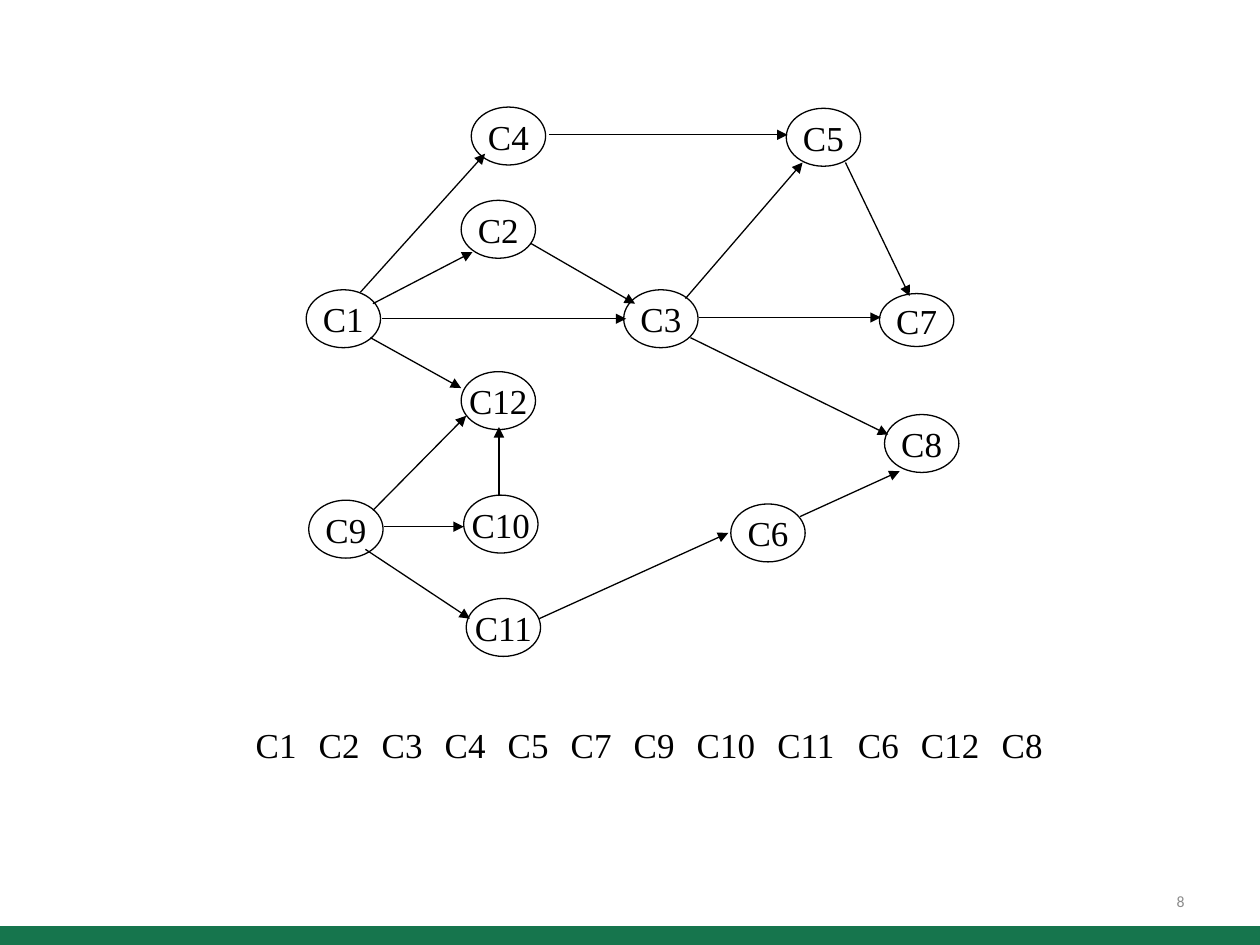
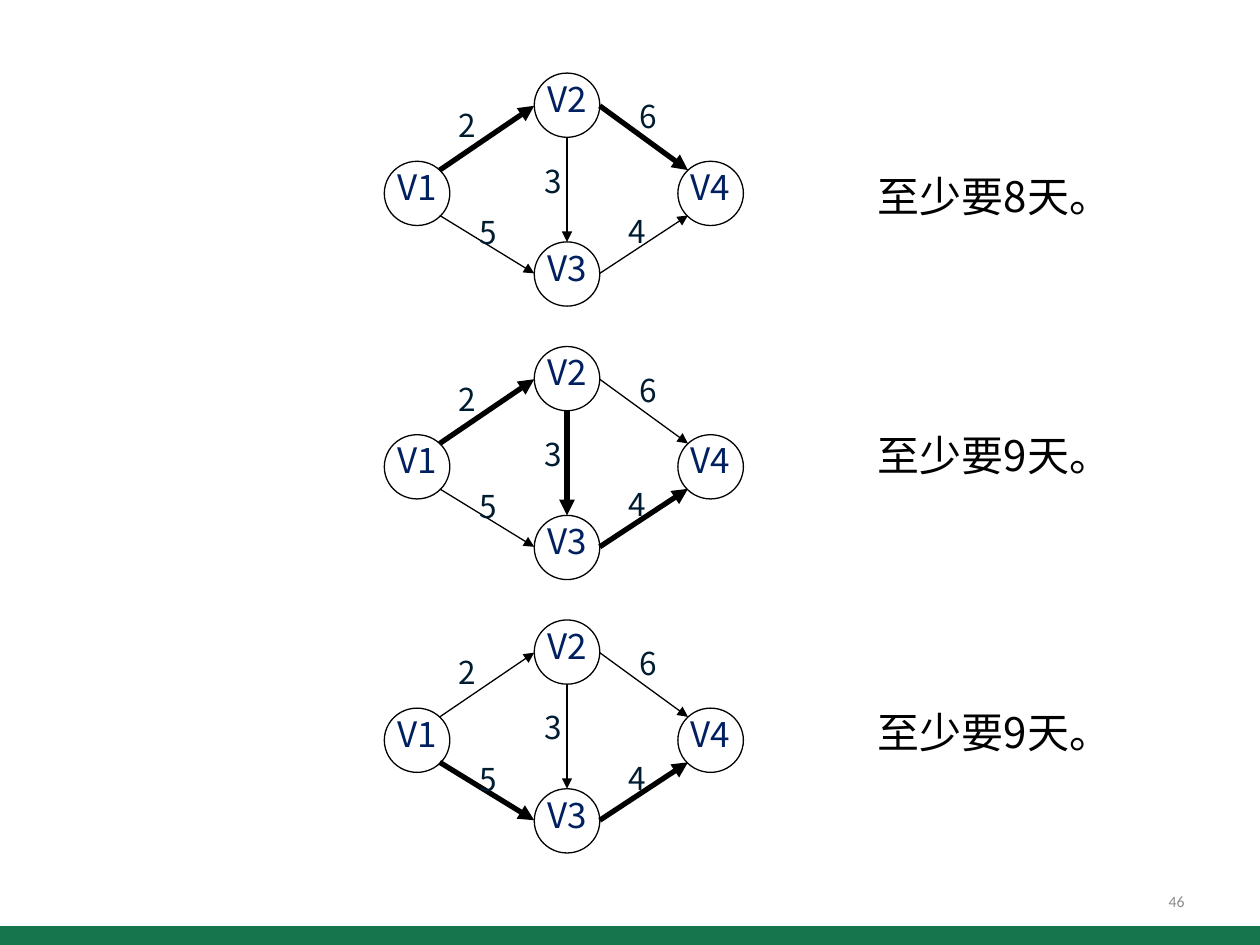
from dataclasses import dataclass

from lxml import etree
from pptx import Presentation
from pptx.dml.color import RGBColor
from pptx.enum import shapes, text
from pptx.oxml import ns
from pptx.util import Inches, Pt


@dataclass(frozen=True)
class Theme:
    ink: str = "000000"
    vertex: str = "002060"
    weight: str = "001C30"
    band: str = "16754D"
    page: str = "8C8C8C"
    serif: str = "Times New Roman"
    sans: str = "Noto Sans CJK SC"
    footer: str = "Calibri"
    node_size: int = 20
    weight_size: int = 18
    verdict_size: int = 24
    page_size: int = 9
    thin: float = 0.75
    thick: float = 3
    sans_spacing: float = 0.89


THEME = Theme()
SERIF = dict(font=THEME.serif, size=THEME.node_size, inset=(0, 0.05))
SANS = dict(font=THEME.sans, spacing=THEME.sans_spacing)

# Course graph: node positions and arrow ends, relative to the graph's box
COURSE_EXTENT = (0.59, 0.46)
COURSES = {
    "C1": (0, 1.45), "C2": (1.23, 0.74), "C3": (2.52, 1.45), "C4": (1.31, 0),
    "C5": (3.81, 0.01), "C6": (3.37, 3.15), "C7": (4.55, 1.48), "C8": (4.59, 2.44),
    "C9": (0.02, 3.12), "C10": (1.25, 3.08), "C11": (1.27, 3.9), "C12": (1.23, 2.1),
}
PREREQUISITES = {
    ("C1", "C3"): ((0.6, 1.68), (2.54, 1.68)),
    ("C1", "C2"): ((0.53, 1.56), (1.32, 1.15)),
    ("C2", "C3"): ((1.78, 1.08), (2.61, 1.56)),
    ("C1", "C4"): ((0.43, 1.47), (1.42, 0.37)),
    ("C4", "C5"): ((1.93, 0.22), (3.82, 0.22)),
    ("C3", "C5"): ((3.01, 1.52), (3.94, 0.44)),
    ("C3", "C7"): ((3.12, 1.67), (4.56, 1.67)),
    ("C5", "C7"): ((4.28, 0.44), (4.79, 1.5)),
    ("C1", "C12"): ((0.51, 1.83), (1.23, 2.23)),
    ("C9", "C12"): ((0.53, 3.2), (1.27, 2.45)),
    ("C9", "C10"): ((0.62, 3.33), (1.25, 3.33)),
    ("C10", "C12"): ((1.53, 3.09), (1.53, 2.54)),
    ("C9", "C11"): ((0.47, 3.51), (1.3, 4.06)),
    ("C11", "C6"): ((1.85, 4.06), (3.35, 3.38)),
    ("C6", "C8"): ((3.92, 3.25), (4.71, 2.89)),
    ("C3", "C8"): ((3.05, 1.83), (4.62, 2.6)),
}
COURSE_ORDER = "C1 C2 C3 C4 C5 C7 C9 C10 C11 C6 C12 C8".split()

# Activity network: vertices, then weight -> (label place, arrow start, arrow end)
VERTEX_EXTENT = (0.52, 0.51)
VERTICES = {"V1": (0, 0.7), "V2": (1.19, 0), "V3": (1.19, 1.34), "V4": (2.33, 0.7)}
ACTIVITIES = {
    "2": ((0.49, 0.25), (0.44, 0.77), (1.19, 0.26)),
    "5": ((0.66, 1.1), (0.44, 1.13), (1.19, 1.59)),
    "6": ((1.93, 0.18), (1.71, 0.26), (2.41, 0.77)),
    "4": ((1.84, 1.09), (1.71, 1.59), (2.41, 1.13)),
    "3": ((1.17, 0.69), (1.45, 0.51), (1.45, 1.34)),
}
# Weights on the highlighted route, verdict, and the verdict's drop
ROUTES = [("26", "至少要8天。", 0.77), ("234", "至少要9天。", 0.66), ("54", "至少要9天。", 0.69)]


def write(shape, words, *, font, size, color=THEME.ink, align=text.PP_ALIGN.LEFT,
          anchor=text.MSO_ANCHOR.TOP, inset=(0.1, 0.05), wrap=True, spacing=None):
    frame = shape.text_frame
    frame.word_wrap = wrap
    frame.vertical_anchor = anchor
    frame.margin_left = frame.margin_right = Inches(inset[0])
    frame.margin_top = frame.margin_bottom = Inches(inset[1])
    line = frame.paragraphs[0]
    line.alignment = align
    if spacing:
        line.line_spacing = spacing
    run = line.add_run()
    run.text = words
    run.font.name = font
    run.font.size = Pt(size)
    run.font.color.rgb = RGBColor.from_string(color)
    # The same face serves Chinese characters
    east_asian = etree.SubElement(run.font._element, ns.qn("a:ea"))
    east_asian.set("typeface", font)


def label(parts, words, x, y, width, height, **style):
    box = parts.add_textbox(*map(Inches, (x, y, width, height)))
    write(box, words, **style)


def node(parts, name, x, y, extent, **style):
    oval = parts.add_shape(shapes.MSO_SHAPE.OVAL, *map(Inches, (x, y, *extent)))
    oval.shadow.inherit = False
    oval.fill.background()
    oval.line.color.rgb = RGBColor.from_string(THEME.ink)
    oval.line.width = Pt(THEME.thin)
    write(oval, name, align=text.PP_ALIGN.CENTER, **style)


def arrow(parts, box, start, end, weight=THEME.thin):
    ends = [Inches(origin + offset) for point in (start, end)
            for origin, offset in zip(box, point)]
    link = parts.add_connector(shapes.MSO_CONNECTOR.STRAIGHT, *ends)
    link.line.color.rgb = RGBColor.from_string(THEME.ink)
    link.line.width = Pt(weight)
    head = etree.SubElement(link.line._get_or_add_ln(), ns.qn("a:tailEnd"))
    head.set("type", "triangle")
    etree.SubElement(link._element.spPr, ns.qn("a:effectLst"))


def framed_slide(prs, page):
    """Blank slide with the green band and the page number."""
    slide = prs.slides.add_slide(prs.slide_layouts[6])
    band = slide.shapes.add_shape(shapes.MSO_SHAPE.RECTANGLE, 0, Inches(7.35),
                                  prs.slide_width, Inches(0.15))
    band.shadow.inherit = False
    band.fill.solid()
    band.fill.fore_color.rgb = RGBColor.from_string(THEME.band)
    band.line.fill.background()
    label(slide.shapes, page, 7.17, 6.95, 2.33, 0.4, font=THEME.footer,
          size=THEME.page_size, color=THEME.page, align=text.PP_ALIGN.RIGHT,
          anchor=text.MSO_ANCHOR.MIDDLE)
    return slide


def course_graph(parts, left, top):
    for name, (x, y) in COURSES.items():
        height = 0.42 if name == "C7" else COURSE_EXTENT[1]
        node(parts, name, left + x, top + y, (COURSE_EXTENT[0], height),
             anchor=text.MSO_ANCHOR.MIDDLE, wrap=False, **SERIF)
    for start, end in PREREQUISITES.values():
        arrow(parts, (left, top), start, end)


def course_order(parts, left, top):
    for name in COURSE_ORDER:
        label(parts, name, left, top, 0.5, 0.44, **SERIF)
        left += 0.64 if len(name) > 2 else 0.5


def activity_network(parts, left, top, route, verdict, drop):
    for name, (x, y) in VERTICES.items():
        node(parts, name, left + x, top + y, VERTEX_EXTENT, size=THEME.node_size,
             color=THEME.vertex, inset=(0, 0), **SANS)
    for days, (_, start, end) in ACTIVITIES.items():
        arrow(parts, (left, top), start, end,
              THEME.thick if days in route else THEME.thin)
    for days, ((x, y), _, _) in ACTIVITIES.items():
        label(parts, days, left + x, top + y, 0.49, 0.4,
              size=THEME.weight_size, color=THEME.weight, **SANS)
    label(parts, verdict, left + 3.82, top + drop, 2.03, 0.5,
          size=THEME.verdict_size, **SANS)


def main():
    prs = Presentation()
    prs.slide_width, prs.slide_height = Inches(10), Inches(7.5)

    # Topological order of courses
    courses = framed_slide(prs, "8")
    course_graph(courses.shapes, 2.43, 0.85)
    course_order(courses.shapes, 2.03, 5.69)

    # Three routes through the same network
    routes = framed_slide(prs, "46")
    for row, (route, verdict, drop) in enumerate(ROUTES):
        group = routes.shapes.add_group_shape()
        activity_network(group.shapes, 3.05, 0.58 + row * 2.17, route, verdict, drop)

    prs.save("out.pptx")


if __name__ == "__main__":
    main()
